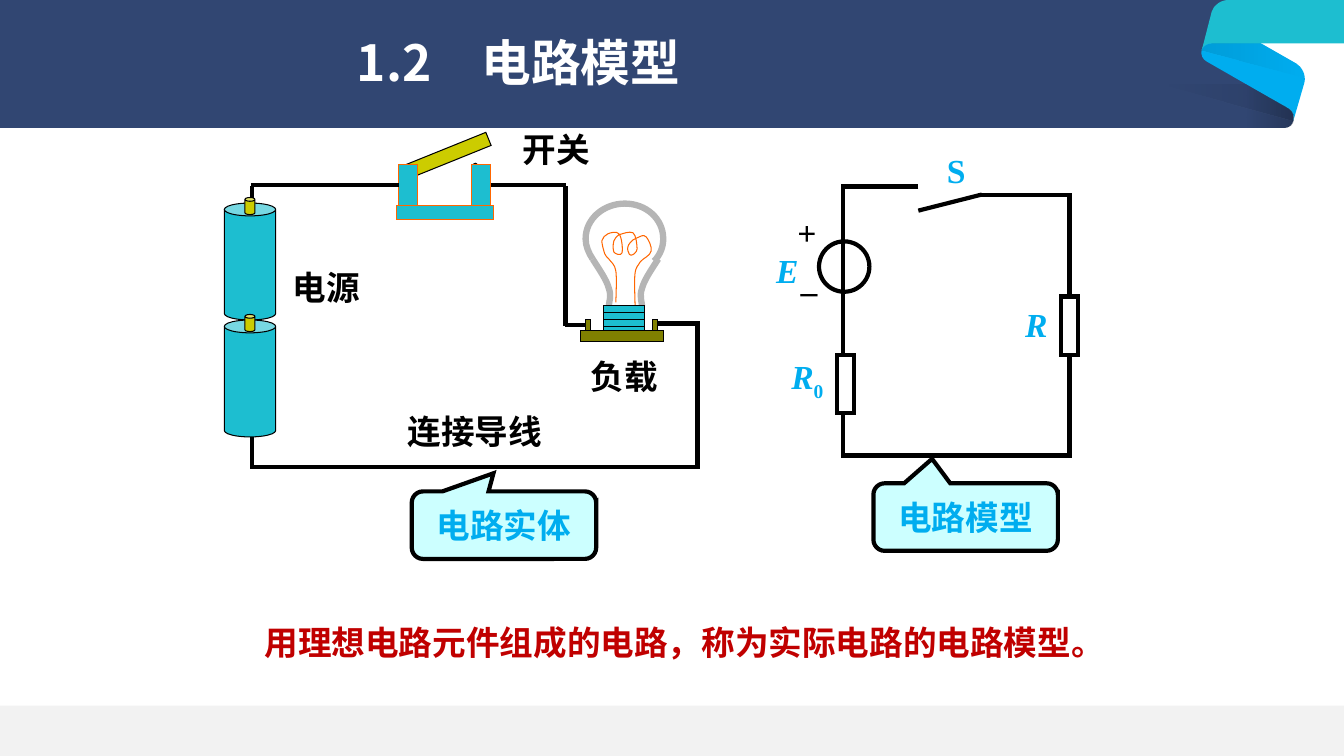
"""Build the slide that sets a real circuit beside its circuit model."""
from dataclasses import dataclass

from lxml.etree import SubElement
from pptx import Presentation
from pptx.dml.color import RGBColor
from pptx.enum.shapes import MSO_CONNECTOR as Connector, MSO_SHAPE as Shape
from pptx.enum.text import MSO_ANCHOR as Anchor, MSO_AUTO_SIZE as AutoSize, PP_ALIGN as Align
from pptx.oxml.ns import qn
from pptx.util import Inches, Pt


@dataclass(frozen=True)
class Theme:
    """Colours, fonts and sizes of the slide."""
    navy: str = "314672"
    sky: str = "00ADEF"
    teal: str = "1DBED0"
    footer: str = "F2F2F2"
    ink: str = "000000"
    white: str = "FFFFFF"
    red: str = "C00000"
    pale: str = "CCFFFF"
    olive: str = "808000"
    yellow: str = "CCCC00"
    orange: str = "FF6600"
    glass: str = "B5B5B5"
    sans: str = "Noto Sans CJK SC"
    serif: str = "Times New Roman"
    title: float = 35.5
    body: float = 24
    thin: float = 0.75
    wire: float = 3
    thick: float = 4.5


THEME = Theme()
COLUMNS, ROWS = 133.33, 75
CELL = Inches(0.1)

TITLE = ("1.2　电路模型", (34.4, 2.8, 84.5, 7.3))
CONCLUSION = ("用理想电路元件组成的电路，称为实际电路的电路模型。", (18.6, 61.15, 97.9, 5))
LABELS = [
    ("电源", (28, 25.95, 8.7, 5), THEME.ink, {}),
    ("负载", (57.6, 34.8, 8.7, 5), THEME.ink, {}),
    ("连接导线", (39.4, 40.3, 15.4, 5), THEME.ink, {}),
    ("开关", (50.85, 12.3, 8.7, 5), THEME.ink, {}),
    ("S", (92.9, 14.4, 3.9, 5), THEME.sky, {}),
    ("E", (76, 24.3, 4.2, 5), THEME.sky, {"italic": True}),
    ("R", (100.7, 29.7, 4.2, 5), THEME.sky, {"italic": True}),
    ("R", (77.45, 35.1, 5.3, 5), THEME.sky, {"italic": True}),
    ("+", (78.1, 20.5, 3.9, 5), THEME.ink, {}),
    ("–", (77.8, 26.3, 4.9, 5), THEME.ink, {}),
]
SUBSCRIPTS = {(77.45, 35.1, 5.3, 5): "0"}
CALLOUTS = [
    ("电路实体", (40.85, 48.75, 18.3, 6.7), (-0.057, -0.768, 0.167)),
    ("电路模型", (86.65, 47.95, 18.3, 6.7), (-0.182, -0.862, 0.167)),
]

BAND = [(0, 0), (124.3, 0), (124.3, 7.2), (127.9, 10.8),
        (128.3, 11.1, 128.4, 11.5, 128.3, 12), (128.2, 12.4, 127.9, 12.7, 127.4, 12.7), (0, 12.7)]
FOLD = [(119.7, 6.1), (127.9, 10.8), (128.3, 11.1, 128.4, 11.5, 128.3, 12), (129.4, 8.2),
        (129.6, 7.4, 129.1, 6.6, 128.6, 6.3), (124.4, 3.9), (120.2, 4.1),
        (119.7, 4.1, 119.3, 4.6, 119.2, 5), (119.1, 5.4, 119.3, 5.9, 119.7, 6.1)]
RIBBON = [(119.2, 5), (119.3, 4.6, 119.7, 4.3, 120.2, 4.3), (COLUMNS, 4.3), (COLUMNS, 0),
          (121.9, 0), (121.1, 0, 120.4, 0.5, 120.2, 1.2), (119.4, 4.3)]
SHADES = [
    ([(123.7, 8.4), (123.7, 12.7), (127.4, 12.7), (127.9, 12.7, 128.2, 12.4, 128.3, 12),
      (128.4, 11.5, 128.3, 11.1, 127.9, 10.8)], 20, 180),
    ([(115.2, 8.4), (128.3, 12), (128.4, 11.5, 128.3, 11.1, 127.9, 10.8), (123.7, 8.4)], 10, 180),
    ([(119.2, 5), (129.4, 7.7), (129.4, 7.2, 129.1, 6.6, 128.6, 6.3), (125, 4.3), (120.2, 4.3),
      (119.7, 4.3, 119.3, 4.6, 119.2, 5)], 10, 0),
]
FILAMENT = [
    (61.1, 30), (61.1, 29.5, 61.2, 27.6, 61.1, 26.9), (61, 26.2, 60.6, 26, 60.4, 25.7),
    (60.2, 25.4, 60.1, 25.5, 60, 25.2), (59.9, 24.9, 59.7, 24.2, 59.7, 23.9),
    (59.8, 23.6, 60, 23.3, 60.3, 23.2), (60.5, 23.1, 61.2, 22.9, 61.4, 23.2),
    (61.7, 23.5, 61.8, 24.8, 61.7, 25.1), (61.6, 25.4, 61, 25.2, 60.9, 25),
    (60.8, 24.8, 60.8, 24.2, 60.9, 23.9), (61, 23.7, 61.1, 23.5, 61.4, 23.3),
    (61.7, 23.2, 62.5, 22.9, 62.8, 23.1), (63.1, 23.3, 63.2, 24.3, 63.2, 24.7),
    (63.2, 25, 62.8, 25.3, 62.7, 25.3), (62.5, 25.4, 62.3, 25.1, 62.3, 24.9),
    (62.2, 24.7, 62.3, 24.3, 62.5, 24.1), (62.6, 23.9, 62.9, 23.7, 63.2, 23.6),
    (63.5, 23.5, 63.8, 23.2, 64.1, 23.5), (64.3, 23.7, 64.7, 24.5, 64.6, 24.9),
    (64.5, 25.4, 63.8, 25.6, 63.5, 26), (63.3, 26.4, 63.1, 26.4, 63, 27.1),
    (62.9, 27.8, 63, 29.7, 63, 30.3)]
BULB = [(58.8, 25.7), (58.4, 25.1, 58.1, 24.4, 58.1, 23.7), (58.1, 21.7, 59.9, 20.2, 62, 20.2),
        (64.1, 20.2, 65.8, 21.7, 65.8, 23.7), (65.8, 24.5, 65.5, 25.3, 64.9, 25.9)]
LEFT_NECK = [(58.8, 25.7), (59.5, 26.8, 60.2, 27.8, 60.4, 28.6), (60.7, 29.4, 60.4, 30, 60.4, 30.4)]
RIGHT_NECK = [(65.3, 25.7), (64.6, 26.8, 63.9, 27.8, 63.7, 28.6), (63.4, 29.4, 63.7, 30, 63.7, 30.4)]
RETURN_WIRE = [(65, 32.1), (69.2, 32.1), (69.2, 46.3), (25, 46.3), (25, 42.1)]
MODEL_WIRE = [(91.1, 18.5), (83.6, 18.5), (83.6, 45.2), (106.1, 45.2), (106.1, 19.35), (97, 19.35)]
OUTLINES = [
    (RETURN_WIRE, THEME.ink, THEME.wire), (FILAMENT, THEME.orange, THEME.thin),
    (BULB, THEME.glass, THEME.thick), (LEFT_NECK, THEME.glass, THEME.thick),
    (RIGHT_NECK, THEME.glass, THEME.thick), (MODEL_WIRE, THEME.ink, THEME.wire)]

CONTACTS = [(f"contact {row}", Shape.OVAL, (46.9, row, 0.5, 0.7), THEME.white, THEME.ink, THEME.thin, {})
            for row in (16.2, 18.3)]
CELLS = [part for row in (19.6, 31.2) for part in (
    (f"cell {row}", Shape.CAN, (22.25, row + 0.55, 5.1, 11.6), THEME.teal, THEME.ink, THEME.thin, {}),
    (f"cap {row}", Shape.CAN, (24.3, row, 1, 1.7), THEME.yellow, THEME.ink, THEME.thin, {"adjust": 0.375}))]
RESISTORS = [(f"resistor {column}", Shape.RECTANGLE, (column, row, 5.8, 1.7), THEME.white, THEME.ink,
              THEME.wire, {"rotation": 270}) for column, row in ((80.95, 37.25), (103.2, 31.45))]
PARTS = CONTACTS + [
    ("bulb base", Shape.RECTANGLE, (59.85, 30.3, 4.1, 2.5), THEME.teal, THEME.ink, THEME.thin, {}),
    ("left clip", Shape.RECTANGLE, (58.1, 31.7, 0.5, 1.1), THEME.olive, THEME.ink, THEME.thin, {}),
    ("right clip", Shape.RECTANGLE, (64.7, 31.7, 0.5, 1.1), THEME.olive, THEME.ink, THEME.thin, {}),
    ("switch base", Shape.RECTANGLE, (39.3, 20.4, 9.7, 1.4), THEME.teal, THEME.orange, THEME.thin, {}),
    ("right post", Shape.RECTANGLE, (46.8, 16.3, 1.9, 4.1), THEME.teal, THEME.orange, THEME.thin, {}),
    ("blade", Shape.RECTANGLE, (39.6, 14.8, 9.2, 1.4), THEME.yellow, THEME.ink, THEME.thin, {"rotation": 338}),
    ("left post", Shape.RECTANGLE, (39.55, 16.3, 1.9, 4.1), THEME.teal, THEME.orange, THEME.thin, {}),
    ("plate", Shape.RECTANGLE, (57.6, 32.8, 8.2, 1.1), THEME.olive, THEME.ink, THEME.thin, {}),
    ("source", Shape.OVAL, (81.25, 23.95, 5, 5), None, THEME.ink, THEME.wire, {}),
] + CELLS + RESISTORS
THREADS = [((59.85, row), (64, row), THEME.thin, None, None) for row in (31, 31.7, 32.4)]
LINES = THREADS + [
    ((60.9, 32.8), (65.1, 32.8), THEME.thin, None, None),
    ((24.9, 18.35), (39.55, 18.35), THEME.wire, None, ("left post", 1)),
    ((48.7, 18.35), (56.2, 18.35), THEME.wire, ("right post", 3), None),
    ((56.1, 18.5), (56.1, 32.3), THEME.wire, None, None),
    ((56.1, 32.25), (58.1, 32.25), THEME.wire, None, ("left clip", 1)),
    ((25, 19.6), (25, 18.5), THEME.wire, None, None),
    ((91.1, 20.9), (97.4, 19.3), THEME.wire, None, None),
]


def grid(*values):
    return [round(value * CELL) for value in values]


def apply(target, values):
    for name, value in values.items():
        setattr(target, name, value)


def paint(shape, fill=None, line=None, weight=THEME.thin):
    shape.shadow.inherit = False
    for part, colour in ((shape.fill, fill), (shape.line.fill, line)):
        if colour:
            part.solid()
            part.fore_color.rgb = RGBColor.from_string(colour)
        else:
            part.background()
    if line:
        shape.line.width = Pt(weight)
        SubElement(shape.element.spPr.find(qn("a:ln")), qn("a:miter")).set("lim", "800000")
    return shape


def draw_outline(shapes, steps, close=False):
    start, *rest = [grid(*step[-2:]) for step in steps]
    builder = shapes.build_freeform(*start)
    builder.add_line_segments(rest, close=close)
    shape = builder.convert_to_shape()
    segments = list(shape.element.iter(qn("a:lnTo")))
    for segment, step in zip(segments, steps[1:]):
        if len(step) == 6:
            bend(segment, grid(*step), shape.left, shape.top)
    return shape


def bend(segment, values, left, top):
    curve = SubElement(segment.getparent(), qn("a:cubicBezTo"))
    for x, y in zip(values[::2], values[1::2]):
        point = SubElement(curve, qn("a:pt"))
        point.set("x", str(x - left))
        point.set("y", str(y - top))
    segment.getparent().replace(segment, curve)


def shade(shape, alpha, angle):
    paint(shape)
    shape.fill.gradient()
    shape.fill.gradient_angle = angle
    for stop in shape.fill.gradient_stops:
        stop.color.rgb = RGBColor.from_string(THEME.ink)
    for colour, share in zip(shape.element.iter(qn("a:srgbClr")), (alpha, 0)):
        SubElement(colour, qn("a:alpha")).set("val", str(share * 1000))
    return shape


def write(shape, text, colour, size=THEME.body, font=THEME.serif, align=Align.CENTER, wrap=False, **style):
    frame = shape.text_frame
    apply(frame, {"word_wrap": wrap, "auto_size": AutoSize.NONE, "vertical_anchor": Anchor.MIDDLE})
    paragraph = frame.paragraphs[0]
    paragraph.alignment = align
    add_run(paragraph, text, colour, size, font, **style)
    return paragraph


def add_run(paragraph, text, colour, size=THEME.body, font=THEME.serif, **style):
    run = paragraph.add_run()
    run.text = text
    apply(run.font, {"name": font, "size": Pt(size), "bold": True, **style})
    run.font.color.rgb = RGBColor.from_string(colour)
    properties = run._r.get_or_add_rPr()
    SubElement(properties, qn("a:ea")).set("typeface", THEME.sans)
    return properties


def draw_line(shapes, parts, start, end, weight, begin_join, end_join):
    line = shapes.add_connector(Connector.STRAIGHT, *grid(*start, *end))
    line.line.color.rgb = RGBColor.from_string(THEME.ink)
    line.line.width = Pt(weight)
    SubElement(line.element.spPr, qn("a:effectLst"))
    for join, connect in ((begin_join, line.begin_connect), (end_join, line.end_connect)):
        if join:
            connect(parts[join[0]], join[1])


def draw_backdrop(shapes, layout):
    backdrop = [paint(draw_outline(shapes, steps, True), colour)
                for steps, colour in ((BAND, THEME.navy), (FOLD, THEME.sky), (RIBBON, THEME.teal))]
    backdrop += [shade(draw_outline(shapes, steps, True), alpha, angle) for steps, alpha, angle in SHADES]
    backdrop.append(paint(shapes.add_shape(Shape.RECTANGLE, *grid(0, 70, COLUMNS, 5)), THEME.footer))
    for shape in backdrop:
        layout.shapes._spTree.append(shape.element)


def main():
    presentation = Presentation()
    apply(presentation, {"slide_width": round(COLUMNS * CELL), "slide_height": ROWS * CELL})
    layout = presentation.slide_layouts[5]
    shapes = presentation.slides.add_slide(layout).shapes
    draw_backdrop(shapes, layout)

    for steps, colour, weight in OUTLINES:
        paint(draw_outline(shapes, steps), None, colour, weight)
    parts = {}
    for name, kind, box, fill, line, weight, extra in PARTS:
        part = parts[name] = paint(shapes.add_shape(kind, *grid(*box)), fill, line, weight)
        part.rotation = extra.get("rotation", 0)
        if "adjust" in extra:
            part.adjustments[0] = extra["adjust"]
    for line in LINES:
        draw_line(shapes, parts, *line)

    for text, box, adjustments in CALLOUTS:
        callout = shapes.add_shape(Shape.ROUNDED_RECTANGULAR_CALLOUT, *grid(*box))
        for index, value in enumerate(adjustments):
            callout.adjustments[index] = value
        write(paint(callout, THEME.pale, THEME.ink, THEME.wire), text, THEME.sky)
    for text, box, colour, style in LABELS:
        paragraph = write(shapes.add_textbox(*grid(*box)), text, colour, **style)
        if box in SUBSCRIPTS:
            add_run(paragraph, SUBSCRIPTS[box], colour).set("baseline", "-25000")

    text, box = CONCLUSION
    paragraph = write(shapes.add_textbox(*grid(*box)), text, THEME.red, font=THEME.sans,
                      align=Align.JUSTIFY, wrap=True)
    paragraph._p.get_or_add_pPr().set("indent", str(Pt(2 * THEME.body)))

    text, box = TITLE
    title = shapes.title
    apply(title, dict(zip(("left", "top", "width", "height"), grid(*box))))
    write(title, text, THEME.white, THEME.title, THEME.sans, Align.LEFT, True).line_spacing = 0.9
    presentation.save("out.pptx")


if __name__ == "__main__":
    main()
